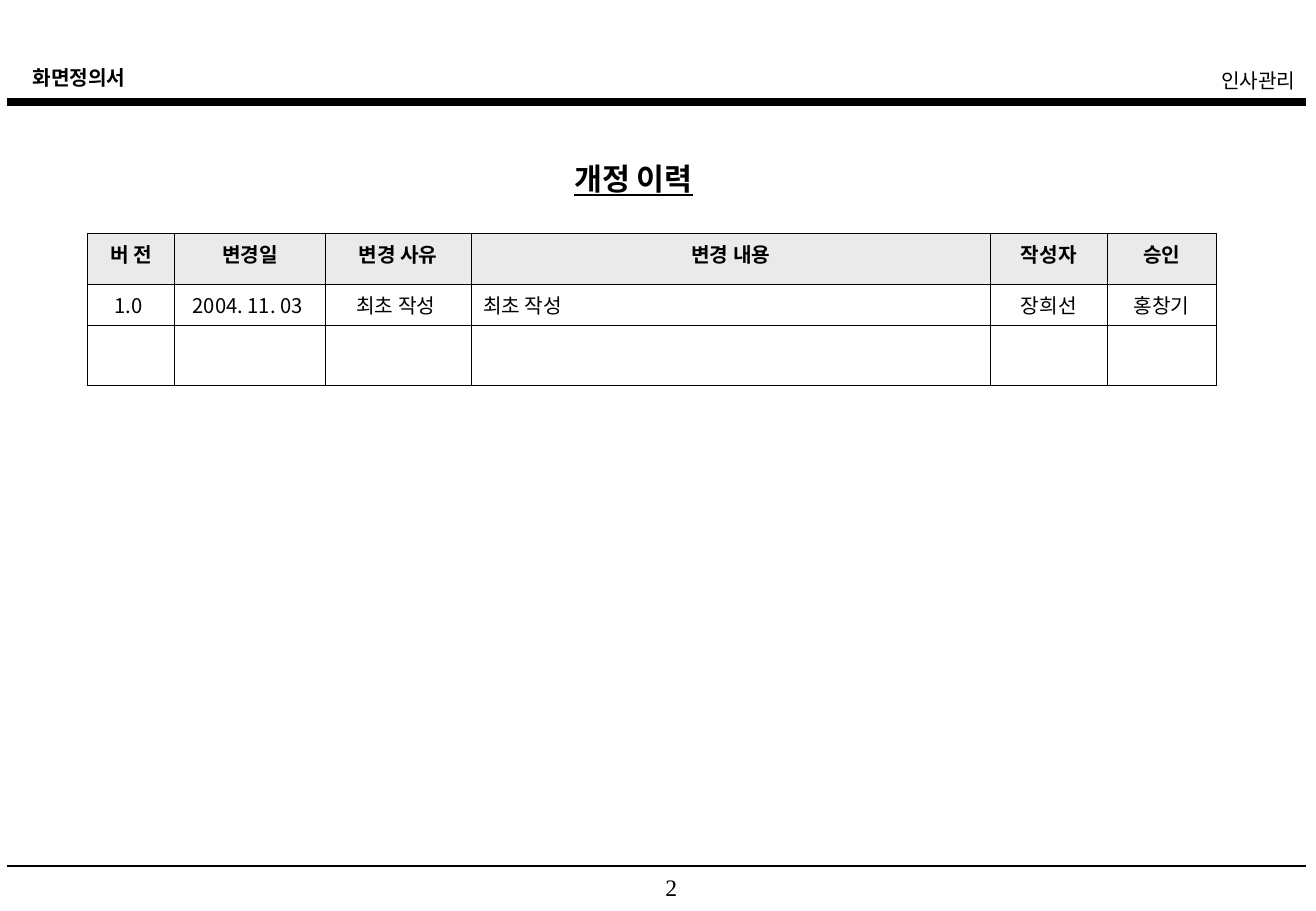
import pptx
import pptx.util
import pptx.dml.color
import pptx.enum.shapes
import pptx.enum.text
import pptx.oxml.ns
from lxml import etree

Inches = pptx.util.Inches
Pt = pptx.util.Pt
Align = pptx.enum.text.PP_ALIGN
qn = pptx.oxml.ns.qn

BLACK = pptx.dml.color.RGBColor(0x00, 0x00, 0x00)
GRAY = pptx.dml.color.RGBColor(0xEA, 0xEA, 0xEA)
KOREAN = "Noto Sans CJK KR"
LATIN = "Times New Roman"

TITLE = "개정 이력"
# text, box (left, top, width, height), align, font, size, bold
LABELS = [
    ("화면정의서", (0.17, 0.49, 4.35, 0.3), Align.LEFT, KOREAN, 12, True),
    ("인사관리", (6.08, 0.51, 4.69, 0.3), Align.RIGHT, KOREAN, 12, False),
    ("2", (5.26, 7.14, 0.54, 0.27), Align.CENTER, LATIN, 14, False),
]
RULES = [(0.84, 4.5), (7.13, 1)]  # top, weight
ROWS = [
    ("버 전", "변경일", "변경 사유", "변경 내용", "작성자", "승인"),
    ("1.0 ", "2004. 11. 03 ", "최초 작성 ", "최초 작성", "장희선", "홍창기"),
    ("",) * 6,
]
WIDTHS = [0.72, 1.24, 1.2, 4.28, 0.96, 0.9]
HEIGHTS = [0.42, 0.34, 0.49]
DETAIL = 3  # column of change details, left-aligned below the header


def write(frame, text, align, face, size, bold=False, line=False):
    frame.word_wrap = True
    para = frame.paragraphs[0]
    para.alignment = align
    para.space_before = Pt(0)
    run = para.add_run()
    run.text = text
    font = run.font
    font.name, font.size, font.bold = face, Pt(size), bold
    font.underline = line
    font.color.rgb = BLACK
    etree.SubElement(run._r.get_or_add_rPr(), qn("a:ea"), typeface=face)


def border(cell):
    props = cell._tc.get_or_add_tcPr()
    for spot, side in enumerate(("lnL", "lnR", "lnT", "lnB")):
        edge = etree.Element(qn("a:" + side), w=str(Pt(0.45)))
        fill = etree.SubElement(edge, qn("a:solidFill"))
        etree.SubElement(fill, qn("a:srgbClr"), val=str(BLACK))
        props.insert(spot, edge)


def add_rule(slide, top, weight):
    rule = slide.shapes.add_connector(
        pptx.enum.shapes.MSO_CONNECTOR.STRAIGHT,
        Inches(0.06), Inches(top), Inches(10.76), Inches(top))
    rule.line.color.rgb = BLACK
    rule.line.width = Pt(weight)
    etree.SubElement(rule._element.spPr, qn("a:effectLst"))


def add_log(slide):
    """Add the revision table."""
    table = slide.shapes.add_table(
        len(ROWS), len(WIDTHS), Inches(0.72), Inches(1.92),
        Inches(sum(WIDTHS)), Inches(sum(HEIGHTS))).table
    for col, width in zip(table.columns, WIDTHS):
        col.width = Inches(width)
    for r, (row, height) in enumerate(zip(ROWS, HEIGHTS)):
        table.rows[r].height = Inches(height)
        for c, text in enumerate(row):
            cell = table.cell(r, c)
            head = r == 0
            if head:
                cell.fill.solid()
                cell.fill.fore_color.rgb = GRAY
            else:
                cell.fill.background()
            border(cell)
            if text:
                left = c == DETAIL and not head
                write(cell.text_frame, text,
                      Align.LEFT if left else Align.CENTER, KOREAN, 12, head)


def main():
    deck = pptx.Presentation()
    deck.slide_width, deck.slide_height = Inches(10.84), Inches(7.5)
    slide = deck.slides.add_slide(deck.slide_layouts[5])

    title = slide.shapes.title
    title.left, title.top = Inches(4.63), Inches(1.27)
    title.width, title.height = Inches(1.53), Inches(0.4)
    title.text_frame.vertical_anchor = pptx.enum.text.MSO_ANCHOR.TOP
    title.text_frame.auto_size = pptx.enum.text.MSO_AUTO_SIZE.NONE
    write(title.text_frame, TITLE, Align.LEFT, KOREAN, 18, True, True)

    for top, weight in RULES:
        add_rule(slide, top, weight)
    for text, box, *style in LABELS:
        label = slide.shapes.add_textbox(*map(Inches, box))
        write(label.text_frame, text, *style)
    add_log(slide)
    deck.save("out.pptx")


if __name__ == "__main__":
    main()
